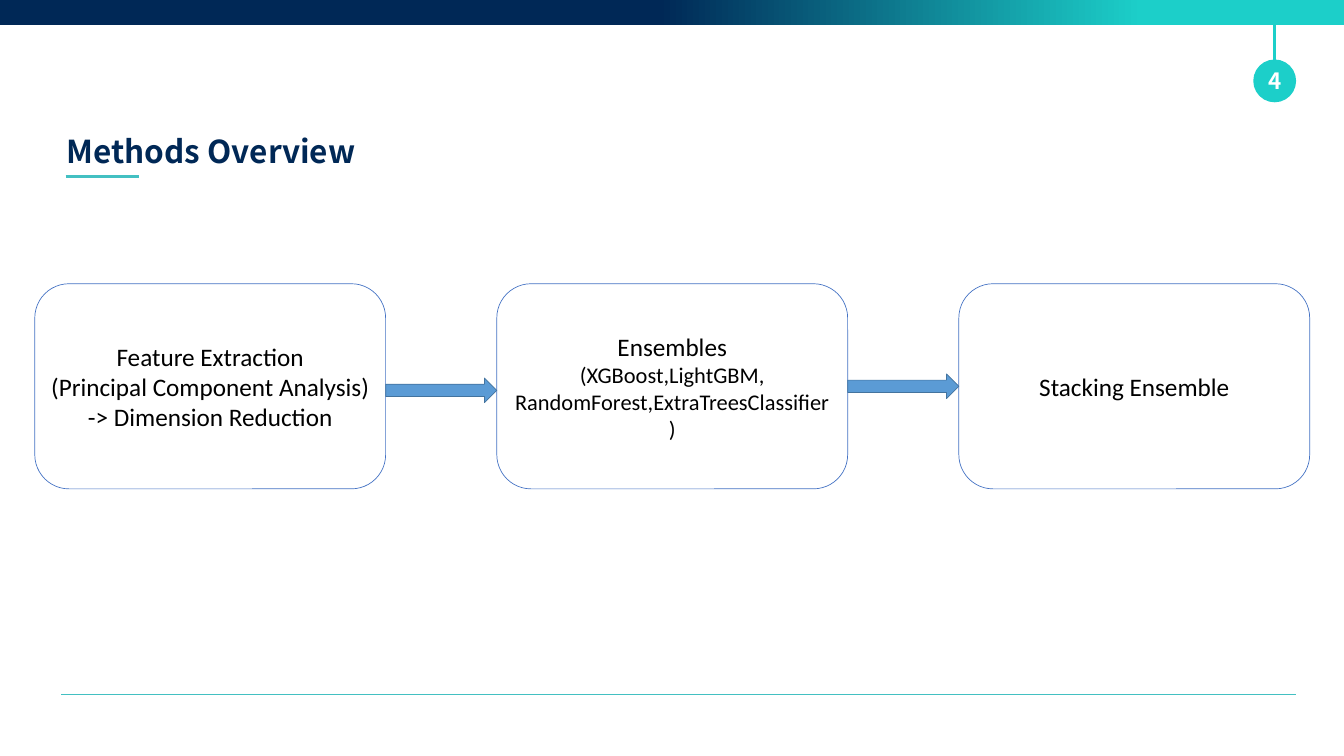
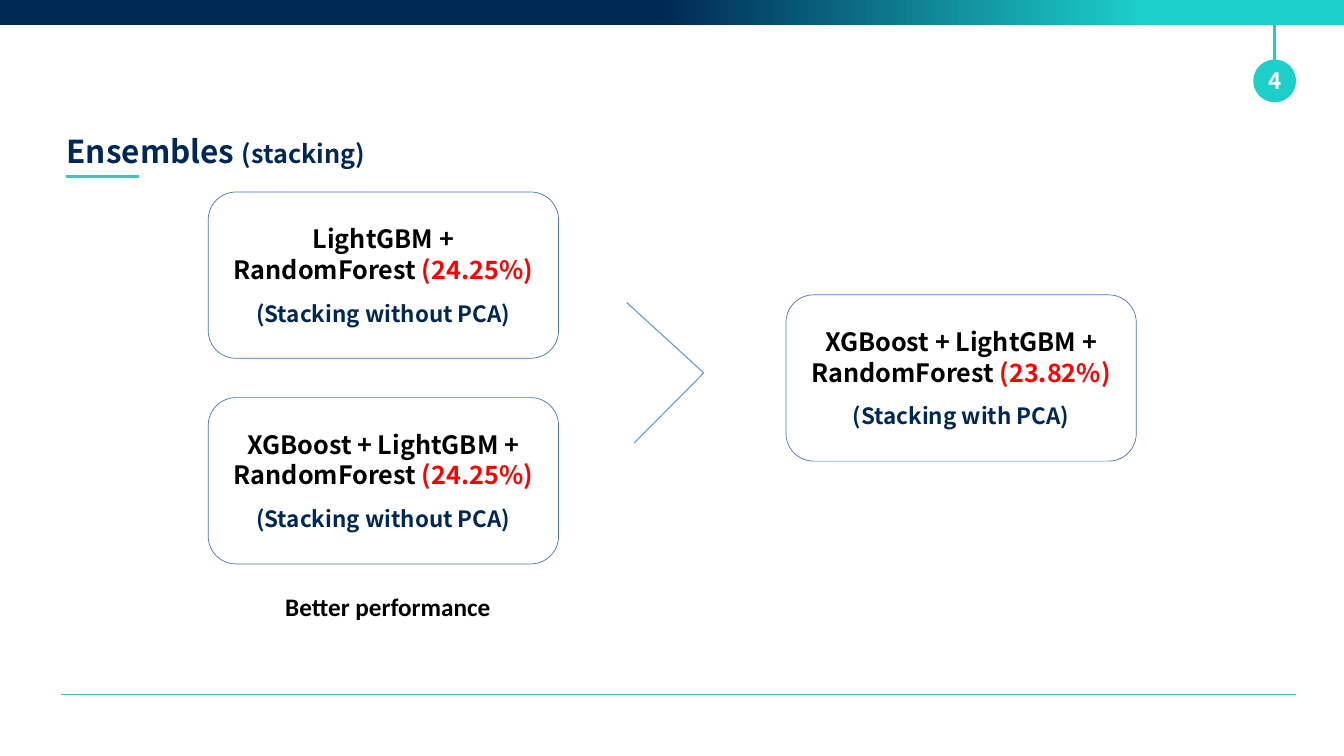
"""Builds two slides on a machine-learning ensemble method."""
from dataclasses import dataclass

from lxml import etree
from pptx import Presentation
from pptx.dml.color import RGBColor
from pptx.enum import shapes as kinds, text as txt
from pptx.oxml.ns import qn
from pptx.util import Inches, Pt

NAVY = RGBColor(0x00, 0x28, 0x56)
TURQUOISE = RGBColor(0x1C, 0xCF, 0xC9)
RULE_TEAL = RGBColor(0x43, 0xC0, 0xC2)
BOX_BLUE = RGBColor(0x44, 0x72, 0xC4)
ARROW_BLUE = RGBColor(0x5B, 0x9B, 0xD5)
ARROW_EDGE = RGBColor(0x43, 0x73, 0x9E)
RED = RGBColor(0xFF, 0x00, 0x00)
WHITE = RGBColor(0xFF, 0xFF, 0xFF)
BLACK = RGBColor(0x00, 0x00, 0x00)
HEADING_FONT = "Noto Sans CJK KR"
BODY_FONT = "Calibri"
SLIDE_WIDTH = 26.66
PAGE_NUMBER = "4"


@dataclass(frozen=True)
class Run:
    text: str
    size: float
    color: RGBColor = BLACK


@dataclass(frozen=True)
class Line:
    runs: tuple[Run, ...]
    font: str = BODY_FONT
    bold: bool = False
    centered: bool = True
    space_before: float = 0


@dataclass(frozen=True)
class Area:
    left: float
    top: float
    width: float
    height: float

    def lengths(self) -> tuple:
        return tuple(map(Inches, (self.left, self.top, self.width, self.height)))


@dataclass(frozen=True)
class Box:
    area: Area
    lines: tuple[Line, ...]


@dataclass(frozen=True)
class Stroke:
    start: tuple[float, float]
    end: tuple[float, float]
    color: RGBColor
    width: float


TITLE_RULE = Stroke((1.3, 3.51), (2.76, 3.51), RULE_TEAL, 4.5)
FOOTER_RULE = Stroke((1.22, 13.78), (25.71, 13.78), RULE_TEAL, 0.5)
PAGE_PIN = Stroke((25.28, 0), (25.28, 1.6), TURQUOISE, 3.25)


def write(frame, lines: tuple[Line, ...]) -> None:
    """Fill a text frame with formatted lines."""
    frame.word_wrap = True
    for index, line in enumerate(lines):
        paragraph = frame.paragraphs[0] if index == 0 else frame.add_paragraph()
        paragraph.alignment = txt.PP_ALIGN.CENTER if line.centered else txt.PP_ALIGN.LEFT
        paragraph.space_before = Pt(line.space_before)
        paragraph.font.name = line.font
        paragraph.font.bold = line.bold
        agree = len({(run.size, run.color) for run in line.runs}) == 1
        for run in line.runs:
            piece = paragraph.add_run()
            piece.text = run.text
            font = paragraph.font if agree else piece.font
            font.size = Pt(run.size)
            font.color.rgb = run.color


def draw_stroke(shapes, stroke: Stroke) -> None:
    """Draw a straight line without a shadow."""
    ends = map(Inches, stroke.start + stroke.end)
    connector = shapes.add_connector(kinds.MSO_CONNECTOR.STRAIGHT, *ends)
    connector.line.color.rgb = stroke.color
    connector.line.width = Pt(stroke.width)
    etree.SubElement(connector._element.spPr, qn("a:effectLst"))


def draw_shape(shapes, preset, area: Area, fill: RGBColor | None, edge: RGBColor | None = None):
    """Draw a flat preset shape and return it."""
    shape = shapes.add_shape(preset, *area.lengths())
    shape.shadow.inherit = False
    if fill is not None:
        shape.fill.solid()
        shape.fill.fore_color.rgb = fill
    if edge is None:
        shape.line.fill.background()
    else:
        shape.line.color.rgb = edge
        shape.line.width = Pt(1)
    return shape


def draw_box(shapes, box: Box) -> None:
    """Draw a rounded box with centred text."""
    shape = draw_shape(shapes, kinds.MSO_SHAPE.ROUNDED_RECTANGLE, box.area, WHITE, BOX_BLUE)
    shape.text_frame.vertical_anchor = txt.MSO_ANCHOR.MIDDLE
    write(shape.text_frame, box.lines)


def draw_header(shapes) -> None:
    """Draw the gradient band with the pinned page number."""
    header = shapes.add_group_shape().shapes
    band = draw_shape(header, kinds.MSO_SHAPE.RECTANGLE, Area(0, 0, SLIDE_WIDTH, 0.49), None)
    band.fill.gradient()
    band.fill.gradient_angle = 0
    for stop, position, color in zip(band.fill.gradient_stops, (0.49, 0.85), (NAVY, TURQUOISE)):
        stop.position = position
        stop.color.rgb = color
    draw_stroke(header, PAGE_PIN)
    badge = draw_shape(header, kinds.MSO_SHAPE.OVAL, Area(24.86, 1.18, 0.85, 0.85), TURQUOISE)
    frame = badge.text_frame
    frame.margin_left = frame.margin_right = frame.margin_top = frame.margin_bottom = 0
    frame.vertical_anchor = txt.MSO_ANCHOR.MIDDLE
    write(frame, (Line((Run(PAGE_NUMBER, 32, WHITE),), HEADING_FONT, True),))


def add_page(deck, width: float, *title_runs: Run):
    """Add a slide with the shared title, rules and header; return its shapes."""
    shapes = deck.slides.add_slide(deck.slide_layouts[5]).shapes
    title = shapes.title
    title.left, title.top, title.width, title.height = Area(1.22, 2.57, width, 0.86).lengths()
    title.text_frame.vertical_anchor = txt.MSO_ANCHOR.TOP
    title.text_frame.auto_size = txt.MSO_AUTO_SIZE.SHAPE_TO_FIT_TEXT
    write(title.text_frame, (Line(title_runs, HEADING_FONT, True, centered=False),))
    for rule in (TITLE_RULE, FOOTER_RULE):
        draw_stroke(shapes, rule)
    draw_header(shapes)
    return shapes


def build_overview(deck) -> None:
    """Build the three-step methods slide."""
    shapes = add_page(deck, 6.15, Run("Methods Overview", 45, NAVY))
    steps = (
        (("Feature Extraction", 36), ("(Principal Component Analysis)", 36),
         ("-> Dimension Reduction", 36)),
        (("Ensembles", 36), ("(XGBoost,LightGBM, RandomForest,ExtraTreesClassifier)", 32)),
        (("Stacking Ensemble", 36),),
    )
    first_left, box_width, pitch = 0.69, 6.96, 9.165
    for index, step in enumerate(steps):
        lines = tuple(Line((Run(label, size),)) for label, size in step)
        draw_box(shapes, Box(Area(first_left + index * pitch, 5.63, box_width, 4.07), lines))
    for index, top in enumerate((7.5, 7.42)):
        left = first_left + box_width + index * pitch
        draw_shape(shapes, kinds.MSO_SHAPE.RIGHT_ARROW,
                   Area(left, top, pitch - box_width, 0.49), ARROW_BLUE, ARROW_EDGE)


def model_box(left: float, top: float, models: str, error: str, method: str) -> Box:
    """Describe a box with a model combination, its error and its method."""
    result = Line((Run(f"{models} ", 36), Run(error, 36, RED)), HEADING_FONT, True)
    note = Line((Run(method, 32, NAVY),), HEADING_FONT, True, space_before=22)
    return Box(Area(left, top, 6.95, 3.3), (result, note))


def build_stacking(deck) -> None:
    """Build the comparison of stacked ensembles."""
    shapes = add_page(deck, 10.71, Run("Ensembles ", 45, NAVY), Run("(stacking)", 36, NAVY))
    pair, trio = "LightGBM + RandomForest", "XGBoost + LightGBM + RandomForest"
    without_pca = "(Stacking without PCA)"
    for box in (
        model_box(15.59, 5.85, trio, "(23.82%)", "(Stacking with PCA)"),
        model_box(4.13, 7.89, trio, "(24.25%)", without_pca),
        model_box(4.13, 3.81, pair, "(24.25%)", without_pca),
    ):
        draw_box(shapes, box)
    verdict = shapes.add_textbox(*Area(5.56, 11.69, 5.17, 0.71).lengths())
    verdict.text_frame.auto_size = txt.MSO_AUTO_SIZE.SHAPE_TO_FIT_TEXT
    write(verdict.text_frame,
          (Line((Run("Better performance", 36),), bold=True, centered=False),))
    tip = (13.96, 7.4)
    draw_stroke(shapes, Stroke((12.43, 6), tip, ARROW_BLUE, 1.5))
    draw_stroke(shapes, Stroke(tip, (12.58, 8.79), ARROW_BLUE, 1.5))


def main() -> None:
    """Build and save the deck."""
    deck = Presentation()
    deck.slide_width, deck.slide_height = Inches(SLIDE_WIDTH), Inches(15)
    build_overview(deck)
    build_stacking(deck)
    deck.save("out.pptx")


if __name__ == "__main__":
    main()
